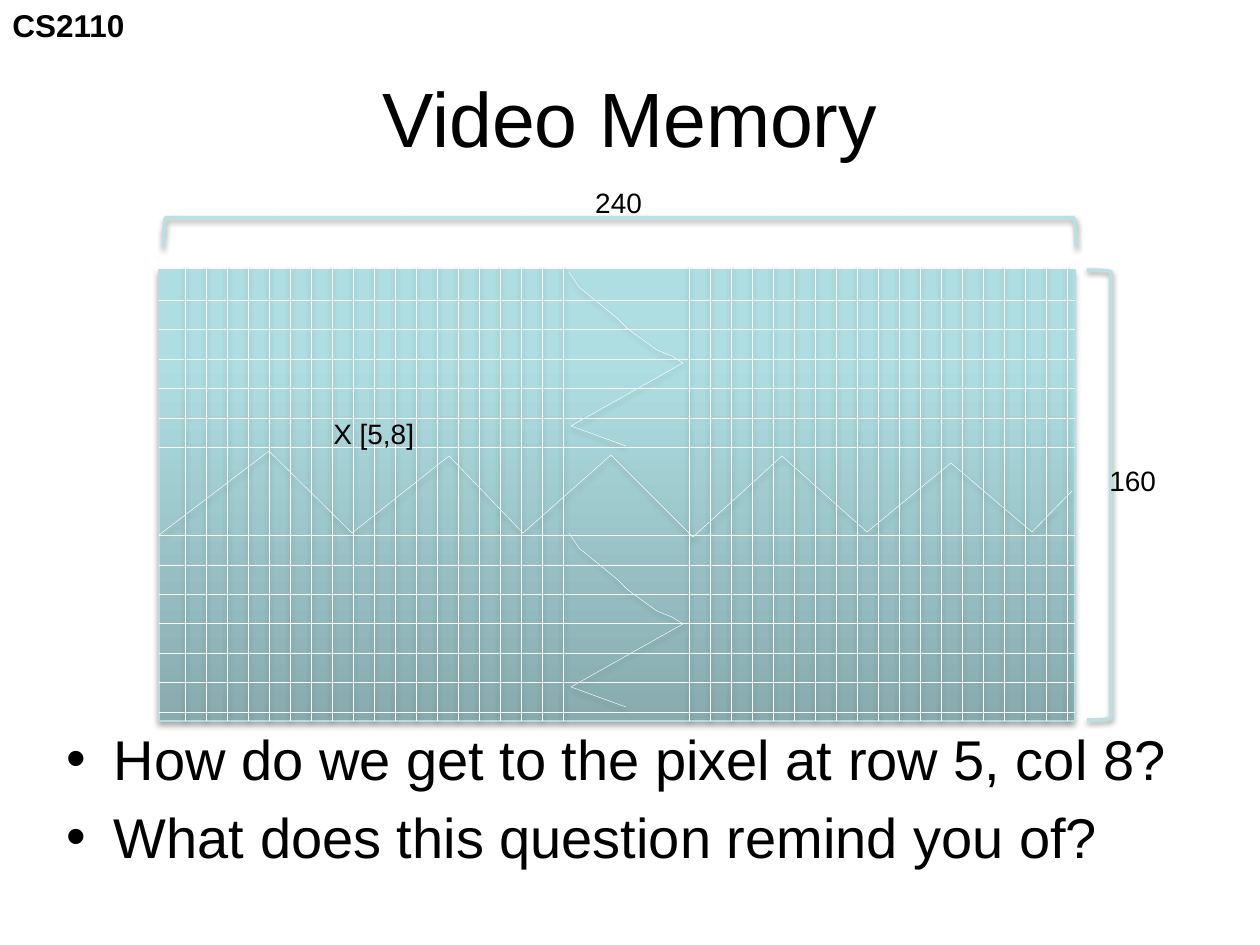
from lxml.etree import fromstring
from pptx import Presentation
from pptx.dml.color import RGBColor
from pptx.enum.shapes import MSO_CONNECTOR, MSO_SHAPE
from pptx.enum.text import MSO_ANCHOR, MSO_AUTO_SIZE, PP_ALIGN
from pptx.util import Emu, Pt

SCALE = 914400 / 126  # EMU in one px
NS = 'xmlns:a="http://schemas.openxmlformats.org/drawingml/2006/main"'
LEFT, TOP, WIDE, HIGH = 159, 270, 916, 451  # the memory block
ROW, COL = 29.4, 21  # grid steps


def px(*nums):
    return [Emu(round(n * SCALE)) for n in nums]


def tint(code):
    return RGBColor.from_string(code)


def shade(item, alpha=38, dist=20320):
    item._element.spPr.append(fromstring(
        f'<a:effectLst {NS}><a:outerShdw blurRad="39370" dist="{dist}" '
        f'dir="5400000" rotWithShape="0"><a:srgbClr val="000000">'
        f'<a:alpha val="{alpha * 1000}"/></a:srgbClr></a:outerShdw></a:effectLst>'))


def stroke(item, code="FFFFFF", width=0.25):
    item.line.color.rgb = tint(code)
    item.line.width = Pt(width)


def style(frame, size, bold=False, align=None):
    for para in frame.paragraphs:
        para.alignment = align
        for run in para.runs:
            font = run.font
            font.name, font.size, font.bold = "Arial", Pt(size), bold
            font.color.rgb = tint("000000")


def label(slide, text, box, size=16, bold=False, align=None, wrap=True):
    frame = slide.shapes.add_textbox(*px(*box)).text_frame
    frame.text = text
    frame.word_wrap = wrap
    frame.auto_size = MSO_AUTO_SIZE.SHAPE_TO_FIT_TEXT
    style(frame, size, bold, align)


def holder(item, lines, box, size, align=None):
    item.left, item.top, item.width, item.height = px(*box)
    frame = item.text_frame
    frame.text = lines[0]
    for text in lines[1:]:
        frame.add_paragraph().text = text
    frame.auto_size = MSO_AUTO_SIZE.NONE
    style(frame, size, align=align)


def block(slide):
    rect = slide.shapes.add_shape(MSO_SHAPE.RECTANGLE, *px(LEFT, TOP, WIDE, HIGH))
    stops = "".join(
        f'<a:gs pos="{pos * 1000}"><a:srgbClr val="{code}"/></a:gs>'
        for pos, code in ((0, "87ABAE"), (80, "AFDEE2"), (100, "AFE0E4")))
    rect._element.spPr.append(fromstring(
        f'<a:gradFill {NS} rotWithShape="1"><a:gsLst>{stops}</a:gsLst>'
        f'<a:lin ang="16200000" scaled="0"/></a:gradFill>'))
    stroke(rect, "B6DCDF", 0.75)
    shade(rect, 35, 22860)


def rule(slide, *ends):
    line = slide.shapes.add_connector(MSO_CONNECTOR.STRAIGHT, *px(*ends))
    stroke(line)
    shade(line)


def grid(slide):
    # Both runs leave a gap for the parts cut away
    for i in [*range(6), *range(8, 15)]:
        y = round(300 + i * ROW)
        rule(slide, LEFT, y, LEFT + WIDE, y)
    for i in [*range(19), *range(24, 43)]:
        x = 185 + i * COL
        rule(slide, x, 265, x, TOP + HIGH)


def brace(slide, box, turn):
    item = slide.shapes.add_shape(MSO_SHAPE.LEFT_BRACKET, *px(*box))
    item.rotation = turn
    item.fill.background()
    stroke(item, "BBE0E3", 2)
    shade(item)


def tear(slide, points):
    pen = slide.shapes.build_freeform(*points[0], scale=SCALE)
    pen.add_line_segments(points[1:], close=False)
    item = pen.convert_to_shape()
    item.fill.background()
    stroke(item)
    shade(item)


def main():
    deck = Presentation()
    deck.slide_width, deck.slide_height = px(1260, 945)
    slide = deck.slides.add_slide(deck.slide_layouts[1])

    # Header, title and list
    label(slide, "CS2110", (0, 0, 139, 50), 18, bold=True, wrap=False)
    title, body = slide.placeholders
    holder(title, ["Video Memory"], (63, 38, 1134, 157), 44, PP_ALIGN.CENTER)
    title.text_frame.vertical_anchor = MSO_ANCHOR.MIDDLE
    holder(body, ["How do we get to the pixel at row 5, col 8?",
                  "What does this question remind you of?"],
           (54, 718, 1134, 197), 32)

    # Memory block with its grid
    block(slide)
    grid(slide)

    # Size brackets and labels
    brace(slide, (1087, 270, 24, 450), 180)
    brace(slide, (605, -224, 29, 912), 90)
    label(slide, "240", (553, 179, 131, 47), align=PP_ALIGN.CENTER)
    label(slide, "X [5,8]", (321, 410, 120, 47))

    # Tear lines across and down
    tear(slide, [(159, 535), (269, 451), (352, 533), (449, 456), (523, 533),
                 (611, 455), (693, 537), (782, 456), (867, 532), (951, 463),
                 (1032, 532), (1072, 491)])
    down = [(569, 272), (579, 287), (617, 318), (628, 329), (657, 350),
            (672, 356), (683, 363), (571, 426), (626, 446)]
    for drop in (0, 261):
        tear(slide, [(x, y + drop) for x, y in down])
    label(slide, "160", (1097, 457, 131, 47))

    deck.save("out.pptx")


if __name__ == "__main__":
    main()
